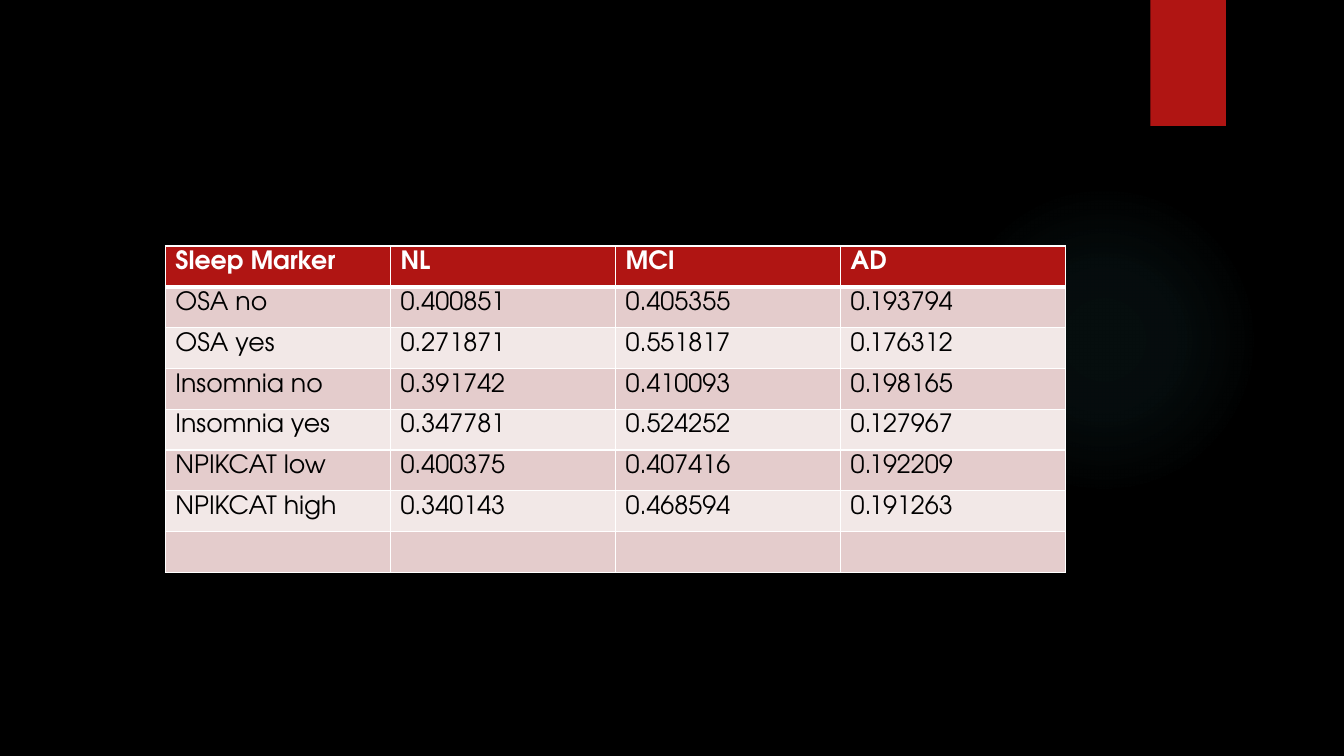
from lxml import etree
from pptx import Presentation
from pptx.dml.color import RGBColor
from pptx.enum.shapes import MSO_SHAPE
from pptx.oxml import parse_xml
from pptx.oxml.ns import qn
from pptx.util import Inches, Pt

# Content
HEAD = ("Sleep Marker", "NL", "MCI", "AD")
ROWS = [
    ("OSA no", "0.400851", "0.405355", "0.193794"),
    ("OSA yes", "0.271871", "0.551817", "0.176312"),
    ("Insomnia no", "0.391742", "0.410093", "0.198165"),
    ("Insomnia yes", "0.347781", "0.524252", "0.127967"),
    ("NPIKCAT low", "0.400375", "0.407416", "0.192209"),
    ("NPIKCAT high", "0.340143", "0.468594", "0.191263"),
    ("", "", "", ""),
]
GLOW_STOPS = [(0, 7), (36, 6), (69, 0)]  # position and opacity, percent

# Format
BLACK = RGBColor(0x00, 0x00, 0x00)
WHITE = RGBColor(0xFF, 0xFF, 0xFF)
RED = RGBColor(0xB0, 0x15, 0x13)
TEAL = RGBColor(0x50, 0xB9, 0xC1)
ROSE = RGBColor(0xE4, 0xCC, 0xCC)
PALE = RGBColor(0xF2, 0xE8, 0xE7)
FONT = {"name": "TeX Gyre Adventor", "size": Pt(18)}
HEAD_FONT = {**FONT, "bold": True}
BODY_FONT = {**FONT, "bold": False}
NS = 'xmlns:a="http://schemas.openxmlformats.org/drawingml/2006/main"'
LEFT, TOP, WIDTH, HEIGHT = 1.64, 2.44, 8.93, 3.24


def add_plain(slide, kind, box):
    shape = slide.shapes.add_shape(kind, *map(Inches, box))
    shape.shadow.inherit = False
    shape.line.fill.background()
    return shape


def add_glow(slide):
    glow = add_plain(slide, MSO_SHAPE.OVAL, (9.41, 1.83, 3.08, 3.08))
    stops = "".join(
        f'<a:gs pos="{pos * 1000}"><a:srgbClr val="{TEAL}">'
        f'<a:alpha val="{alpha * 1000}"/></a:srgbClr></a:gs>'
        for pos, alpha in GLOW_STOPS)
    fill = parse_xml(
        f'<a:gradFill {NS}><a:gsLst>{stops}</a:gsLst><a:path path="circle">'
        '<a:fillToRect l="50000" t="50000" r="50000" b="50000"/>'
        '</a:path></a:gradFill>')
    glow._element.spPr.find(qn("a:prstGeom")).addnext(fill)


def add_tab(slide):
    tab = add_plain(slide, MSO_SHAPE.RECTANGLE, (11.41, 0, 0.75, 1.25))
    tab.fill.solid()
    tab.fill.fore_color.rgb = RED
    shade = parse_xml(
        f'<a:outerShdw {NS} blurRad="{Pt(3)}" dist="{Pt(2)}" dir="5400000" '
        f'rotWithShape="0"><a:srgbClr val="{BLACK}">'
        '<a:alpha val="45000"/></a:srgbClr></a:outerShdw>')
    tab._element.spPr.find(qn("a:effectLst")).append(shade)


def set_edges(cell, widths):
    props = cell._tc.get_or_add_tcPr()
    for place, (side, width) in enumerate(widths.items()):
        line = etree.Element(qn(f"a:ln{side}"), w=str(Pt(width)))
        fill = etree.SubElement(line, qn("a:solidFill"))
        etree.SubElement(fill, qn("a:srgbClr"), val=str(WHITE))
        props.insert(place, line)


def fill_cell(cell, text, row):
    head = row == 0
    cell.fill.solid()
    cell.fill.fore_color.rgb = RED if head else ROSE if row % 2 else PALE
    cell.text = text
    font = cell.text_frame.paragraphs[0].font
    for name, value in (HEAD_FONT if head else BODY_FONT).items():
        setattr(font, name, value)
    font.color.rgb = WHITE if head else BLACK
    set_edges(cell, {"L": 1, "R": 1, "T": 3 if row == 1 else 1,
                     "B": 3 if head else 1})


def add_grid(slide):
    data = [HEAD, *ROWS]
    box = map(Inches, (LEFT, TOP, WIDTH, HEIGHT))
    table = slide.shapes.add_table(len(data), len(HEAD), *box).table
    for row, texts in enumerate(data):
        for col, text in enumerate(texts):
            fill_cell(table.cell(row, col), text, row)


def main():
    deck = Presentation()
    deck.slide_width, deck.slide_height = Inches(13.33), Inches(7.5)
    slide = deck.slides.add_slide(deck.slide_layouts[6])
    slide.background.fill.solid()
    slide.background.fill.fore_color.rgb = BLACK

    # Backdrop, then table
    add_glow(slide)
    add_tab(slide)
    add_grid(slide)
    deck.save("out.pptx")


if __name__ == "__main__":
    main()
